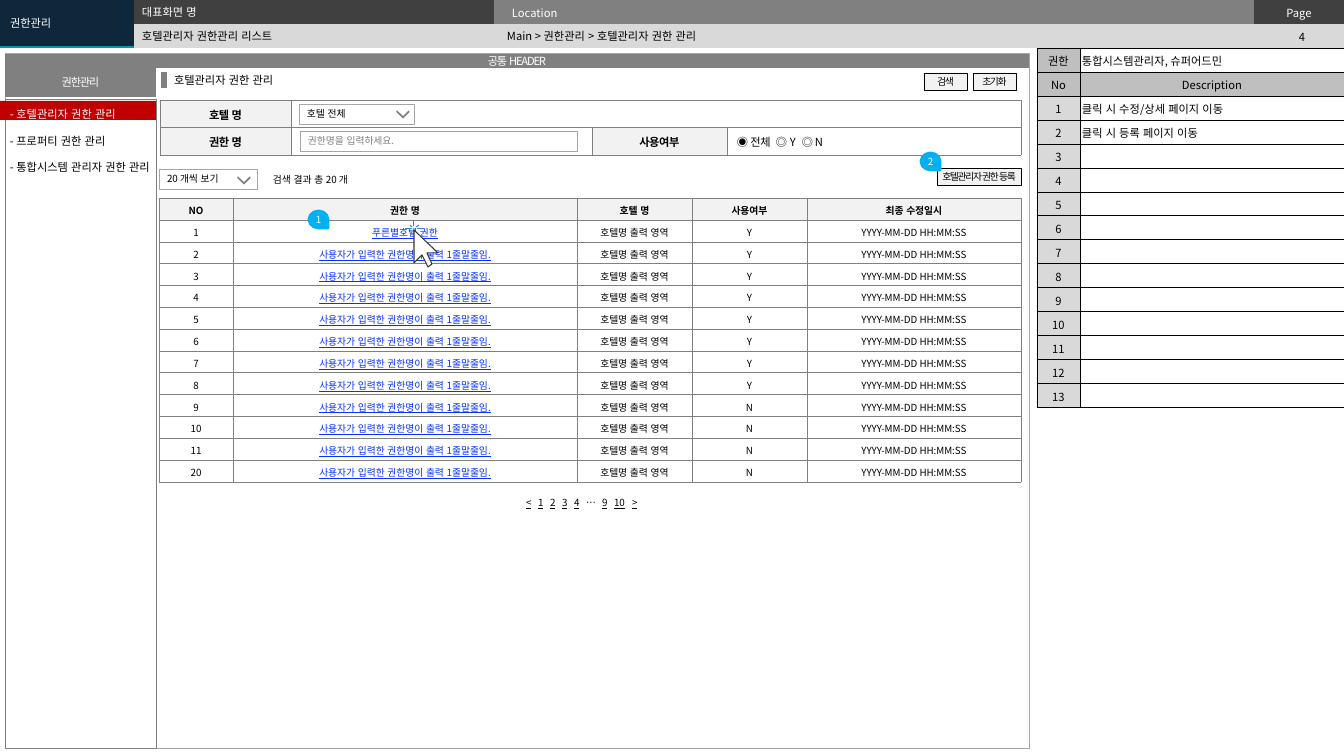
from lxml import etree
from pptx import Presentation
from pptx.dml.color import RGBColor
from pptx.enum.lang import MSO_LANGUAGE_ID
from pptx.enum.shapes import MSO_CONNECTOR, MSO_SHAPE
from pptx.enum.text import MSO_ANCHOR, PP_ALIGN
from pptx.oxml.ns import qn
from pptx.util import Pt

PX = 914400 / 100.8
FONT = "Noto Sans CJK KR"
KOREAN = MSO_LANGUAGE_ID.KOREAN
LEFT, CENTER, MIDDLE = PP_ALIGN.LEFT, PP_ALIGN.CENTER, MSO_ANCHOR.MIDDLE
RECT, TEAR, STRAIGHT = MSO_SHAPE.RECTANGLE, MSO_SHAPE.TEAR, MSO_CONNECTOR.STRAIGHT
NO_GRID = "{2D5ABB26-0587-4C30-8999-92F81FD0307C}"
WHITE, BLACK, GRAY, PALE, LINE = "FFFFFF", "000000", "808080", "F2F2F2", "A6A6A6"
rgb = RGBColor.from_string


def write(tf, text, size=8, color=BLACK, bold=False, underline=False,
          align=LEFT, spc=0, before=0, tabs=()):
    p = tf.add_paragraph() if before else tf.paragraphs[-1]
    if not text:
        p._p.get_or_add_endParaRPr().set("sz", str(size * 100))
        return
    if before:
        p.space_before = Pt(before)
    p.alignment = align
    if tabs:
        stops = etree.SubElement(p._p.get_or_add_pPr(), qn("a:tabLst"))
        for pos in tabs:
            etree.SubElement(stops, qn("a:tab"), pos=str(int(pos * PX)), algn="l")
    r = p.add_run()
    r.text = text
    r.font.size = Pt(size)
    r.font.bold = bold
    r.font.underline = underline
    r.font.language_id = KOREAN
    r.font.color.rgb = rgb(color)
    r.font.name = FONT
    rpr = r._r.get_or_add_rPr()
    etree.SubElement(rpr, qn("a:ea"), typeface=FONT)
    if spc:
        rpr.set("spc", str(int(spc * 100)))


def box(x, y, w, h, text="", fill=None, line=None, width=0.25, inset=10, shape=RECT, **fmt):
    at = [int(v * PX) for v in (x, y, w, h)]
    if fill or line:
        sp = s.shapes.add_shape(shape, *at)
        sp.shadow.inherit = False
        if fill:
            sp.fill.solid()
            sp.fill.fore_color.rgb = rgb(fill)
        else:
            sp.fill.background()
        if line:
            sp.line.color.rgb = rgb(line)
            sp.line.width = Pt(width)
        else:
            sp.line.fill.background()
    else:
        sp = s.shapes.add_textbox(*at)
    tf = sp.text_frame
    tf.word_wrap = True
    tf.vertical_anchor = MIDDLE
    tf.margin_left = tf.margin_right = int(inset * PX)
    tf.margin_top = tf.margin_bottom = 0
    if text:
        write(tf, text, **fmt)
    return sp


prs = Presentation()
prs.slide_width, prs.slide_height = int(1344 * PX), int(756 * PX)
s = prs.slides.add_slide(prs.slide_layouts[6])

mid = dict(align=CENTER)
label = dict(align=CENTER, bold=True, spc=-0.3)
small = dict(size=7, align=CENTER)
link = dict(small, color="0432FF", underline=True)

header_rows = [
    [("", "009CA6", {}), ("", "404040", {}), ("Location", GRAY, dict(color=WHITE)),
     ("Page", "404040", dict(color=WHITE, align=CENTER))],
    [("", "009CA6", {})] + [("", "D9D9D9", {})] * 3,
]
notes = ["클릭 시 수정/상세 페이지 이동", "클릭 시 등록 페이지 이동"] + [""] * 11
description_rows = [
    [("권한", "BFBFBF", mid), ("통합시스템관리자, 슈퍼어드민", WHITE, {})],
    [("No", "BFBFBF", mid), ("Description", "BFBFBF", mid)],
] + [[(str(n), "D9D9D9", mid), (note, WHITE, {})] for n, note in enumerate(notes, 1)]
search_rows = [
    [("호텔 명", PALE, label)] + [("", WHITE, {})] * 3,
    [("권한 명", PALE, label), ("", WHITE, {}), ("사용여부", PALE, label),
     ("◉ 전체\t◎ Y\t◎ N", WHITE, dict(spc=-0.3, tabs=(39, 65)))],
]
titles = ["NO", "권한 명", "호텔 명", "사용여부", "최종 수정일시"]
list_rows = [[(t, PALE, dict(small, bold=True)) for t in titles]]
for n in [*range(1, 12), 20]:
    name = "푸른별호텔 권한" if n == 1 else "사용자가 입력한 권한명이 출력 1줄말줄임."
    list_rows.append([
        (str(n), WHITE, small), (name, WHITE, link), ("호텔명 출력 영역", WHITE, small),
        ("Y" if n < 9 else "N", WHITE, small), ("YYYY-MM-DD HH:MM:SS", WHITE, small),
    ])

tables = [
    (0, 0, 48, (134, 360, 760, 90), 18, 3, None, 0, (0, 0, 1, 0), header_rows),
    (1037, 48, 360, (43, 264), 2, 4, BLACK, 0.5, None, description_rows),
    (160, 100, 55, (131, 301, 135, 294), 10, 3, GRAY, 0.25, (0, 1, 0, 3), search_rows),
    (159, 198, 284, (74, 344, 115, 115, 214), 7, 5, GRAY, 0.25, None, list_rows),
]
for x, y, h, cols, margin, top, border, width, merge, rows in tables:
    at = [int(v * PX) for v in (x, y, sum(cols), h)]
    tbl = s.shapes.add_table(len(rows), len(cols), *at).table
    tbl._tbl.tblPr.find(qn("a:tableStyleId")).text = NO_GRID
    for col, w in zip(tbl.columns, cols):
        col.width = int(w * PX)
    for i, row in enumerate(rows):
        tbl.rows[i].height = int(h / len(rows) * PX)
        for j, (text, fill, fmt) in enumerate(row):
            cell = tbl.cell(i, j)
            cell.margin_left = cell.margin_right = int(margin * PX)
            cell.margin_top, cell.margin_bottom = int(top * PX), int(2 * PX)
            cell.vertical_anchor = MIDDLE
            write(cell.text_frame, text, **fmt)
            tcpr = cell._tc.get_or_add_tcPr()
            for side in ("lnL", "lnR", "lnT", "lnB") if border else ():
                ln = etree.SubElement(tcpr, qn("a:" + side), w=str(Pt(width)))
                paint = etree.SubElement(ln, qn("a:solidFill"))
                etree.SubElement(paint, qn("a:srgbClr"), val=border)
            cell.fill.solid()
            cell.fill.fore_color.rgb = rgb(fill)
    if merge:
        tbl.cell(*merge[:2]).merge(tbl.cell(*merge[2:]))

box(0, 0, 134, 46, "권한관리", fill="0E273B", color=WHITE)
box(132, 0, 360, 24, "대표화면 명", color=WHITE)
box(132, 25, 366, 23, "호텔관리자 권한관리 리스트")
box(497, 24, 744, 24, "Main > 권한관리 > 호텔관리자 권한 관리")
box(1258, 25, 88, 24, "4", align=CENTER)

box(5, 53, 1024, 695, line=LINE)
box(5, 99, 151, 649, line=GRAY)
bar = dict(fill=GRAY, inset=4, color=WHITE, align=CENTER, spc=-0.9)
box(5, 54, 1024, 14, "공통 HEADER", **bar)
box(5, 68, 151, 29, "권한관리", **bar)
box(0, 101, 156, 19, fill="C00000")
menu = box(0, 95, 175, 91, "- 호텔관리자 권한 관리", color=WHITE).text_frame
for item in ("- 프로퍼티 권한 관리", "- 통합시스템 관리자 권한 관리"):
    write(menu, item, before=9.4)

box(164, 68, 243, 24, "호텔관리자 권한 관리")
field = dict(fill=WHITE, line=LINE, width=0.5, inset=8, size=7)
box(300, 131, 277, 20, "권한명을 입력하세요.", color=GRAY, **field)
box(299, 104, 115, 20, "호텔 전체", **field)
box(159, 169, 98, 20, "20 개씩 보기", **field)
box(263, 169, 130, 22, "검색 결과 총 20 개", size=7)
for x, y, w, text in ((924, 73, 43, "검색"), (973, 73, 43, "초기화"),
                      (937, 168, 84, "호텔관리자 권한 등록")):
    box(x, y, w, 17, text, fill=PALE, line=BLACK, inset=0, spc=-0.9, **small)

pager = box(518, 493, 146, 20, "<", inset=8, size=7, underline=True,
            tabs=(12, 24, 36, 48, 60, 76, 88, 106)).text_frame
for page in ("1", "2", "3", "4", "…", "9", "10", ">"):
    write(pager, "\t", size=7)
    write(pager, page, size=7, underline=page != "…")

for x, y, number in ((922, 152, "2"), (310, 210, "1")):
    sp = box(x, y, 17, 19, number, fill="00B0F0", line="00B0F0", width=2, inset=0,
             shape=TEAR, color=WHITE, **small)
    sp.rotation = 90
    sp.text_frame._txBody.bodyPr.set("vert", "vert270")

marker = s.shapes.add_connector(STRAIGHT, *[int(v * PX) for v in (164, 72, 164, 88)])
marker.line.color.rgb = rgb(GRAY)
marker.line.width = Pt(4.5)
etree.SubElement(marker._element.spPr, qn("a:effectLst"))

chevron = [[(12, 0), (6, 6), (0, 0), (0, 1), (6, 7), (12, 1)]]
cursor = [[(18, 34), (13, 23), (24, 23), (0, 0), (0, 33), (8, 25), (14, 37)]]
rays = [[(7, 12), (5, 14)], [(7, 7), (5, 5)], [(11, 7), (14, 5)],
        [(6, 9), (0, 9)], [(9, 6), (9, 0)], [(12, 9), (19, 9)]]
for x, y, paths, fill, line in ((238, 177, chevron, "5F5F5F", GRAY),
                                (397, 111, chevron, "5F5F5F", GRAY),
                                (414, 230, cursor, WHITE, "333333"),
                                (405, 220, rays, None, "3483CB")):
    paths = [[(x + dx, y + dy) for dx, dy in path] for path in paths]
    fb = s.shapes.build_freeform(*paths[0][0], scale=PX)
    for path in paths:
        if path is not paths[0]:
            fb.move_to(*path[0])
        fb.add_line_segments(path[1:], close=bool(fill))
    sp = fb.convert_to_shape()
    sp.shadow.inherit = False
    if fill:
        sp.fill.solid()
        sp.fill.fore_color.rgb = rgb(fill)
    else:
        sp.fill.background()
    sp.line.color.rgb = rgb(line)
    sp.line.width = Pt(0.75)

prs.save("out.pptx")
